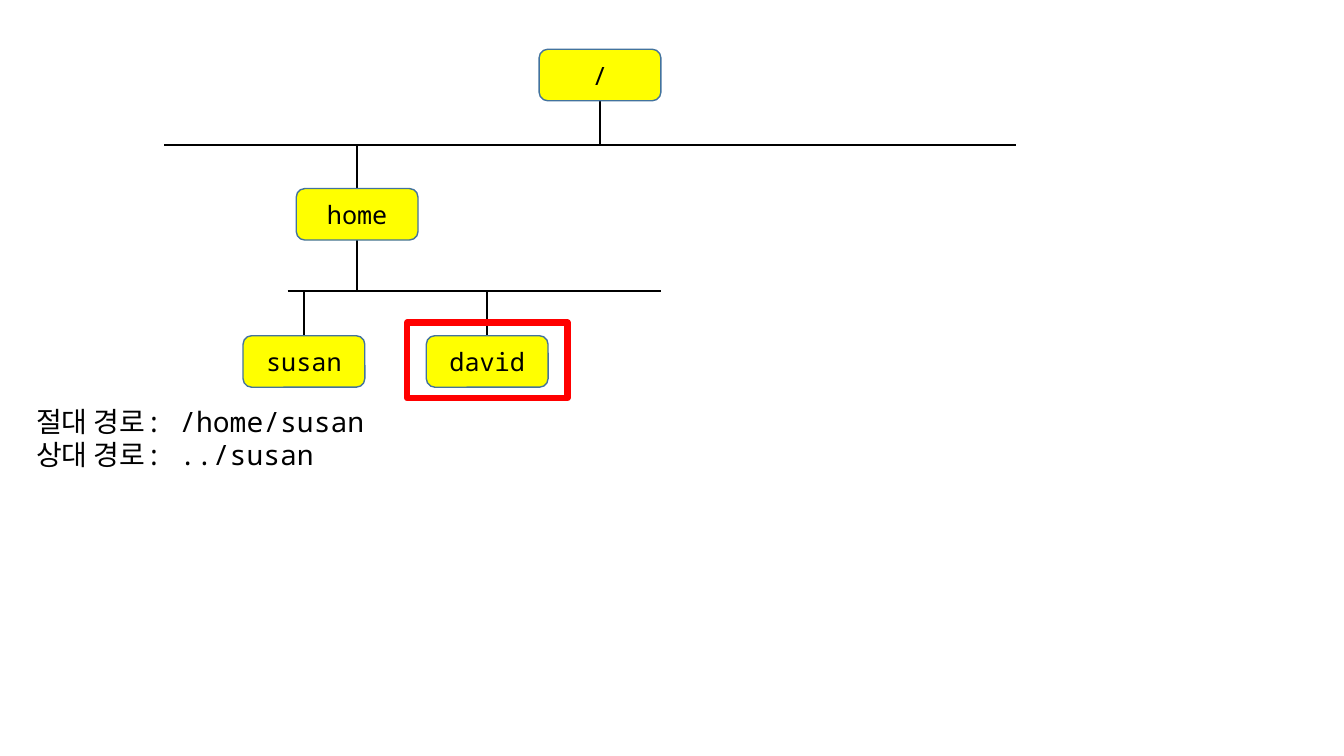
from pptx import Presentation
from pptx.dml.color import RGBColor
from pptx.enum import shapes as kinds, text as txt
from pptx.oxml.ns import qn
from pptx.util import Pt
from lxml import etree

YELLOW = RGBColor(0xFF, 0xFF, 0x00)
BLUE = RGBColor(0x43, 0x73, 0x9E)
RED = RGBColor(0xFF, 0x00, 0x00)
BLACK = RGBColor(0x00, 0x00, 0x00)
FONT = "Noto Sans Mono"
BOX_W, BOX_H = 87, 36.8

deck = Presentation()
deck.slide_width, deck.slide_height = Pt(960), Pt(540)
slide = deck.slides.add_slide(deck.slide_layouts[6])


def style(para, size):
    para.font.name = FONT
    para.font.size = Pt(size)
    para.font.color.rgb = BLACK


# Branches of the tree
bar1, bar2 = 103.7, 208.1
row1, row2, row3 = 35.2, 134.7, 239.8
root, home, susan, david = 428.6, 255.1, 217.1, 348
for x1, y1, x2, y2 in [
    (root, row1 + BOX_H, root, bar1),
    (117.4, bar1, 725.8, bar1),
    (home, bar1, home, row2),
    (home, row2 + BOX_H, home, bar2),
    (205.5, bar2, 472, bar2),
    (susan, bar2, susan, row3),
    (david, bar2, david, row3),
]:
    line = slide.shapes.add_connector(
        kinds.MSO_CONNECTOR.STRAIGHT, Pt(x1), Pt(y1), Pt(x2), Pt(y2))
    line.line.color.rgb = BLACK
    line.line.width = Pt(1.5)
    etree.SubElement(line._element.spPr, qn("a:effectLst"))

# Directories
for name, mid, top in [("/", root, row1), ("home", home, row2),
                       ("susan", susan, row3), ("david", david, row3)]:
    box = slide.shapes.add_shape(
        kinds.MSO_SHAPE.ROUNDED_RECTANGLE,
        Pt(mid - BOX_W / 2), Pt(top), Pt(BOX_W), Pt(BOX_H))
    box.shadow.inherit = False
    box.fill.solid()
    box.fill.fore_color.rgb = YELLOW
    box.line.color.rgb = BLUE
    box.line.width = Pt(1)
    frame = box.text_frame
    frame.vertical_anchor = txt.MSO_ANCHOR.MIDDLE
    para = frame.paragraphs[0]
    para.text = name
    para.alignment = txt.PP_ALIGN.CENTER
    style(para, 18)

# Frame around the current directory
mark = slide.shapes.add_shape(
    kinds.MSO_SHAPE.RECTANGLE, Pt(290.9), Pt(230.4), Pt(114.5), Pt(54))
mark.shadow.inherit = False
mark.fill.background()
mark.line.color.rgb = RED
mark.line.width = Pt(4.5)

# Absolute and relative path
note = slide.shapes.add_textbox(Pt(18.7), Pt(285.1), Pt(250.6), Pt(55.4))
frame = note.text_frame
frame.word_wrap = True
frame.text = "절대 경로: /home/susan\n상대 경로: ../susan"
for para in frame.paragraphs:
    style(para, 20)

deck.save("out.pptx")
